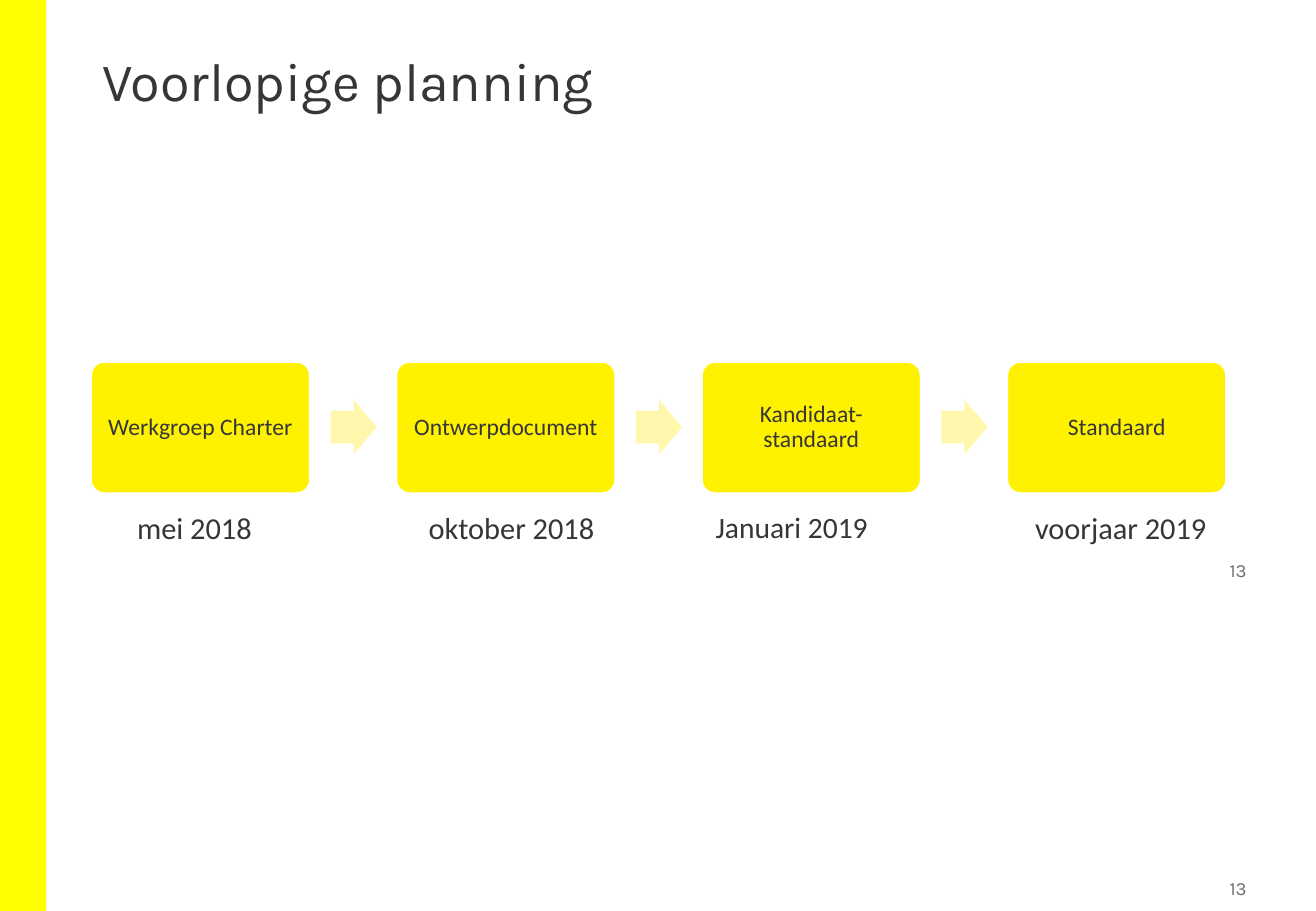
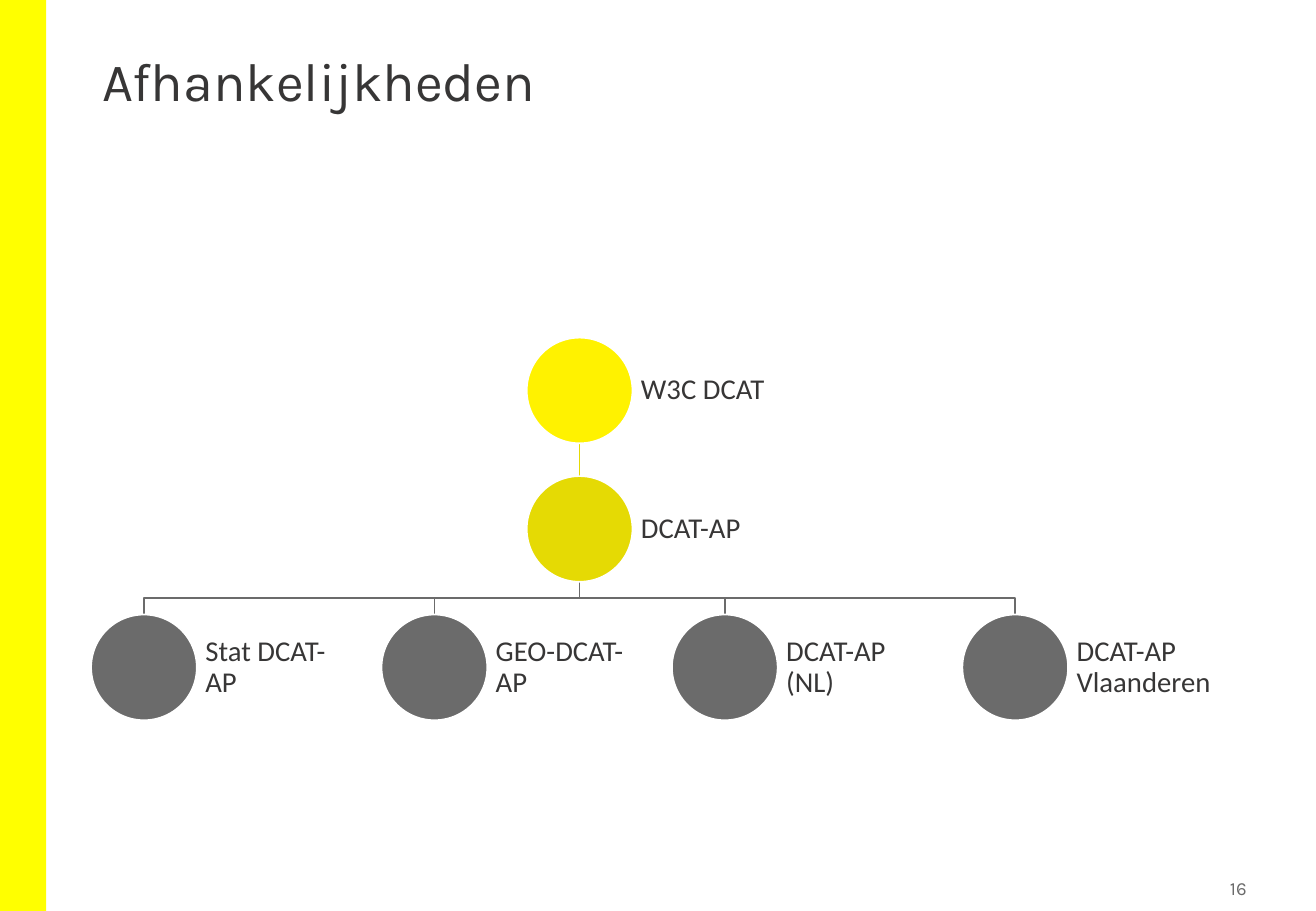
"""Build two slides: a provisional planning and a tree of dependencies."""
from pptx import Presentation
from pptx.dml.color import RGBColor
from pptx.enum.shapes import MSO_CONNECTOR as Connector, MSO_SHAPE as Shape
from pptx.enum.text import MSO_ANCHOR as Anchor, MSO_AUTO_SIZE as AutoSize, PP_ALIGN as Align
from pptx.oxml.ns import qn
from pptx.util import Inches, Pt
from lxml.etree import SubElement

TEXT, GRAY, WHITE = "373636", "6B6B6B", "FFFFFF"
BAND, YELLOW, PALE, OLIVE = "FFFF00", "FFF200", "FFF7AB", "E5DA04"
color = RGBColor.from_string


def draw(page, kind, left, top, width, height, fill, line=None):
    shape = page.shapes.add_shape(kind, Inches(left), Inches(top), Inches(width), Inches(height))
    shape.shadow.inherit = False
    shape.fill.solid()
    shape.fill.fore_color.rgb = color(fill)
    if line:
        shape.line.color.rgb = color(line)
        shape.line.width = Pt(1)
    else:
        shape.line.fill.background()
    return shape


def write(shape, text, size, font="Calibri", ink=TEXT, align=Align.LEFT,
          anchor=Anchor.MIDDLE, margin=None, spacing=None, wrap=True):
    frame = shape.text_frame
    frame.text = text
    frame.word_wrap = wrap
    frame.auto_size = AutoSize.NONE
    frame.vertical_anchor = anchor
    if margin is not None:
        frame.margin_left = frame.margin_right = Inches(margin)
        frame.margin_top = frame.margin_bottom = Inches(margin)
    para = frame.paragraphs[0]
    para.alignment = align
    para.line_spacing = spacing
    para.font.name = font
    para.font.size = Pt(size)
    para.font.color.rgb = color(ink)


deck = Presentation()
deck.slide_width, deck.slide_height = Inches(10.83), Inches(7.5)
layout = deck.slide_layouts[5]

pages = []
for heading, number, number_tops in [("Voorlopige planning", "13", [7.17, 4.55]),
                                     ("Afhankelijkheden", "16", [7.17])]:
    page = deck.slides.add_slide(layout)
    pages.append(page)
    title = page.shapes.title
    title.left, title.top = Inches(0.74), Inches(0.4)
    title.width, title.height = Inches(9.34), Inches(1.08)
    write(title, heading, 32, "Karla", anchor=Anchor.TOP, spacing=0.9)
    for top in number_tops:
        box = page.shapes.add_textbox(Inches(9.5), Inches(top), Inches(0.81), Inches(0.29))
        write(box, number, 11, "Karla", GRAY, Align.RIGHT, margin=0.05)
planning, dependencies = pages

band = draw(planning, Shape.RECTANGLE, 0, 0, 0.38, 7.5, BAND)
layout.shapes.element.insert(2, band.element)

steps = [("Werkgroep Charter", "mei 2018", 1.03, 1.16, 18),
         ("Ontwerpdocument", "oktober 2018", 3.43, 1.58, 18),
         ("Kandidaat-standaard", "Januari 2019", 5.79, 1.47, 17.5),
         ("Standaard", "voorjaar 2019", 8.42, 1.63, 18)]
step_pitch = 7.54 / 3
for index, (name, date, date_left, date_width, date_size) in enumerate(steps):
    left = 0.75 + index * step_pitch
    step = draw(planning, Shape.ROUNDED_RECTANGLE, left, 2.98, 1.8, 1.08, YELLOW, WHITE)
    step.adjustments[0] = 0.1
    write(step, name, 14, align=Align.CENTER, margin=0.06, spacing=0.9)
    if index < len(steps) - 1:
        arrow = draw(planning, Shape.RIGHT_ARROW, left + 1.97, 3.29, 0.38, 0.45, PALE)
        arrow.adjustments[0] = 0.6
    box = planning.shapes.add_textbox(Inches(date_left), Inches(4.14),
                                      Inches(date_width), Inches(0.4))
    write(box, date, date_size, anchor=Anchor.TOP, wrap=False)

diameter, leaf_left, leaf_pitch = 0.87, 0.75, 2.39
root_left = leaf_left + 1.5 * leaf_pitch
root_top, parent_top, leaf_top = [2.78 + row * 1.14 for row in range(3)]
leaves = ["Stat DCAT-AP", "GEO-DCAT-AP", "DCAT-AP (NL)", "DCAT-AP Vlaanderen"]
nodes = [("W3C DCAT", root_left, root_top, YELLOW), ("DCAT-AP", root_left, parent_top, OLIVE)]
nodes += [(name, leaf_left + index * leaf_pitch, leaf_top, GRAY)
          for index, name in enumerate(leaves)]

middle = Inches(root_left + diameter / 2)
stem_top, stem_bottom = Inches(parent_top + diameter), Inches(leaf_top)
bend = (stem_top + stem_bottom) // 2
for name, left, top, fill in nodes[2:]:
    leaf_middle = Inches(left + diameter / 2)
    builder = dependencies.shapes.build_freeform(middle, stem_top)
    builder.add_line_segments([(middle, bend), (leaf_middle, bend), (leaf_middle, stem_bottom)],
                              close=False)
    branch = builder.convert_to_shape()
    branch.shadow.inherit = False
    branch.fill.background()
    branch.line.color.rgb = color(GRAY)
    branch.line.width = Pt(1)

link = dependencies.shapes.add_connector(Connector.STRAIGHT, middle, Inches(root_top + diameter),
                                         middle, Inches(parent_top))
link.line.color.rgb = color(OLIVE)
link.line.width = Pt(1)
SubElement(link.element.spPr, qn("a:effectLst"))

for name, left, top, fill in nodes:
    draw(dependencies, Shape.OVAL, left, top, diameter, diameter, fill, WHITE)
    label = dependencies.shapes.add_textbox(Inches(left + diameter), Inches(top),
                                            Inches(1.3), Inches(diameter))
    write(label, name, 17, margin=0.07, spacing=0.9)

deck.save("out.pptx")
